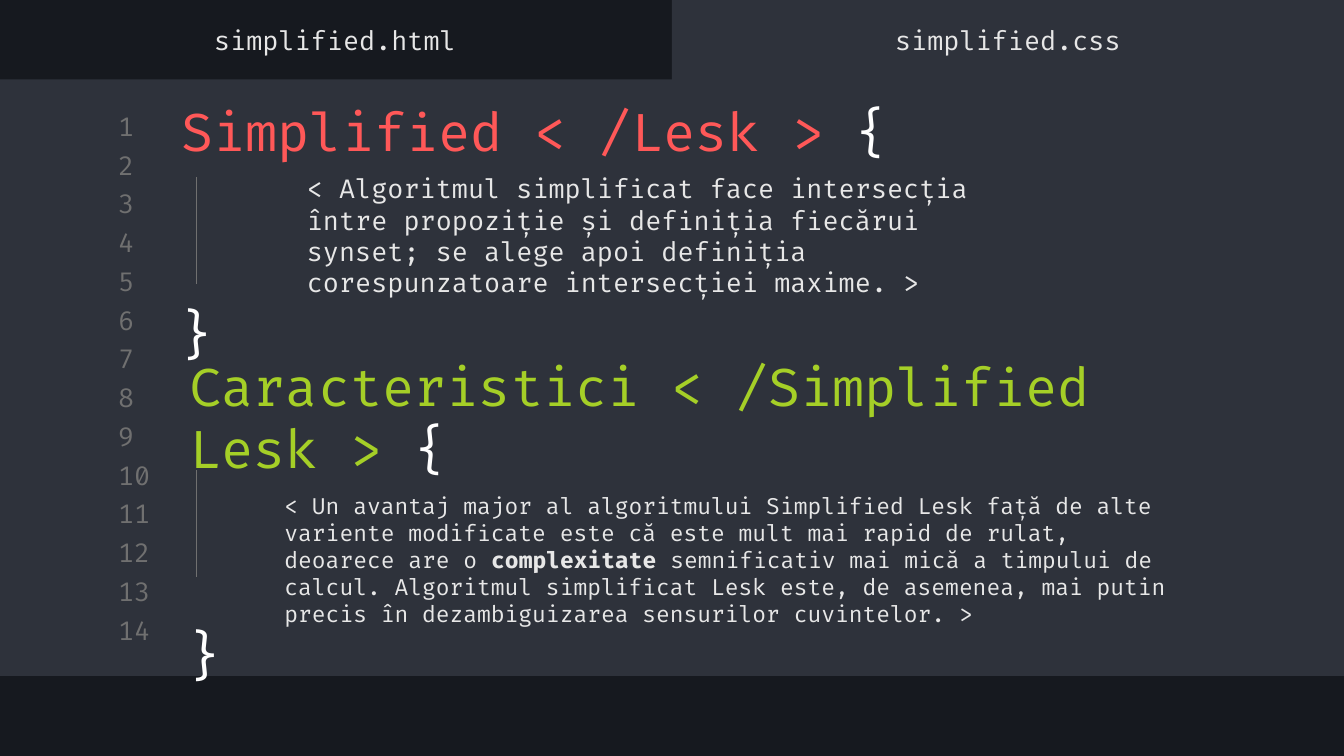
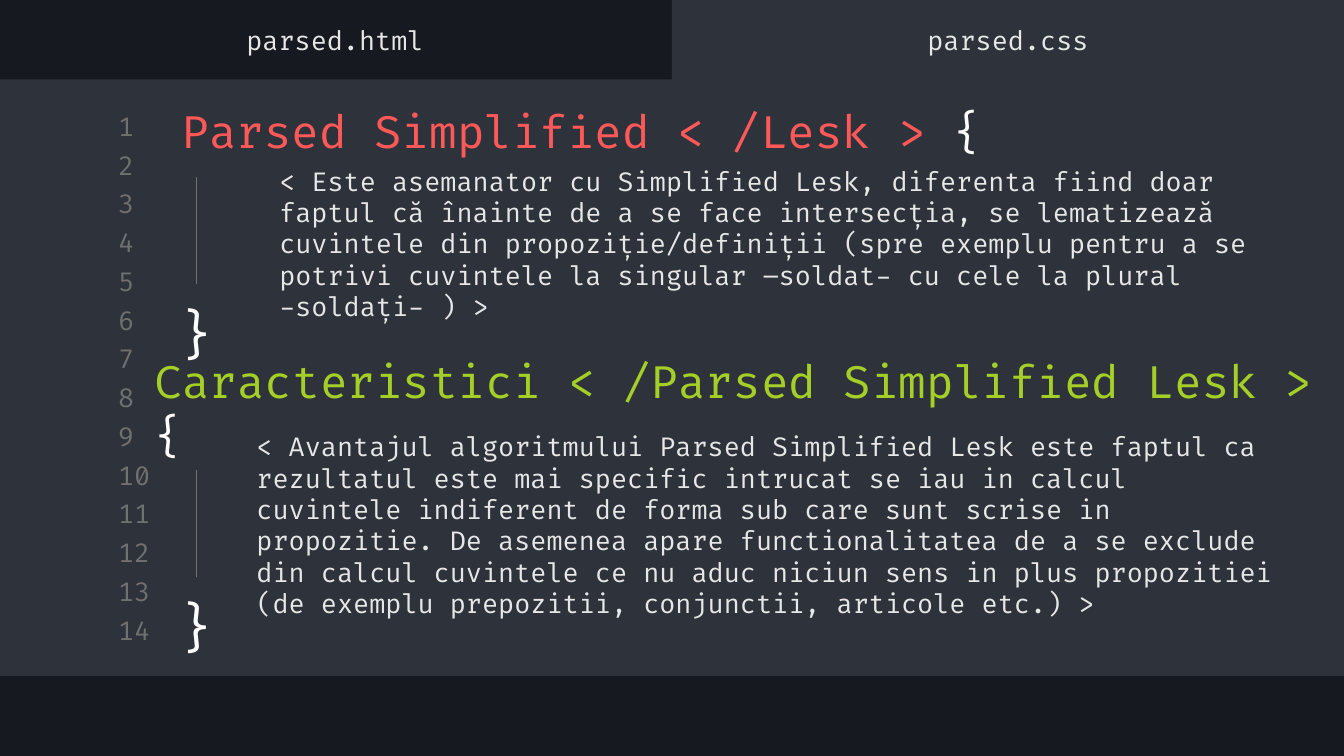
from dataclasses import dataclass

from lxml.etree import SubElement
from pptx import Presentation
from pptx.dml.color import RGBColor
from pptx.enum.shapes import MSO_CONNECTOR as Connector, MSO_SHAPE as Preset
from pptx.enum.text import MSO_ANCHOR as Anchor, MSO_AUTO_SIZE as AutoSize, PP_ALIGN as Align
from pptx.oxml.ns import qn
from pptx.presentation import Presentation as Deck
from pptx.shapes.base import BaseShape
from pptx.slide import Slide
from pptx.util import Pt

NIGHT = RGBColor(0x16, 0x19, 0x1F)
SLATE = RGBColor(0x2E, 0x32, 0x3B)
GRAY = RGBColor(0x70, 0x70, 0x70)
PALE = RGBColor(0xE7, 0xE7, 0xE7)
WHITE = RGBColor(0xFF, 0xFF, 0xFF)
RED = RGBColor(0xFF, 0x58, 0x58)
GREEN = RGBColor(0xA5, 0xCF, 0x27)

FONT = "Fira Code"
INSET = Pt(7.2)
COMPARISON_LAYOUT = 4
LINE_COUNT = 14
LINE_TOP, LINE_STEP = 58.8, 20.76
GUIDE_LEFT, GUIDE_HEIGHT = 105.2, 57.4


@dataclass(frozen=True)
class Frame:
    left: float
    top: float
    width: float
    height: float

    def lengths(self) -> tuple[Pt, Pt, Pt, Pt]:
        return Pt(self.left), Pt(self.top), Pt(self.width), Pt(self.height)


@dataclass(frozen=True)
class Span:
    text: str
    color: RGBColor = PALE
    bold: bool = False


Paragraphs = list[list[Span]]


@dataclass(frozen=True)
class Passage:
    frame: Frame
    paragraphs: Paragraphs
    size: float = 14


@dataclass(frozen=True)
class Brace:
    guide_top: float
    left: float
    top: float


@dataclass(frozen=True)
class CodePage:
    name: str
    title: Passage
    heading: Passage
    definition: Passage
    features: Passage
    braces: tuple[Brace, Brace]


BANDS = (Frame(0, 42.5, 720, 319.7), Frame(360, 0, 360, 46.8))
TABS = ((1, "html", Frame(-0.5, 7.2, 360, 28.1)), (3, "css", Frame(360, 7.2, 360, 28.1)))
TITLE_FRAME = Frame(90, 49, 460, 41.8)
FIRST_BRACE = Brace(95, 85.7, 154.1)

PAGES = (
    CodePage(
        name="simplified",
        title=Passage(TITLE_FRAME, [[Span("Simplified < /Lesk > ", RED), Span("{", WHITE)]], 28),
        heading=Passage(
            Frame(94.5, 202.3, 565.2, 41.8),
            [[Span("Caracteristici < /Simplified Lesk > ", GREEN), Span("{", WHITE)]],
            28,
        ),
        definition=Passage(
            Frame(157.2, 95.2, 404.6, 61.9),
            [[Span(
                "< Algoritmul simplificat face intersecția între propoziție și definiția "
                "fiecărui synset; se alege apoi definiția corespunzatoare intersecției maxime. >"
            )]],
        ),
        features=Passage(
            Frame(145.2, 268.9, 493.9, 61.9),
            [[
                Span(
                    "< Un avantaj major al algoritmului Simplified Lesk față de alte variente "
                    "modificate este că este mult mai rapid de rulat, deoarece are o "
                ),
                Span("complexitate ", bold=True),
                Span(
                    "semnificativ mai mică a timpului de calcul. Algoritmul simplificat Lesk "
                    "este, de asemenea, mai putin precis în dezambiguizarea sensurilor cuvintelor. >"
                ),
            ]],
            12,
        ),
        braces=(Brace(252, 90, 326.1), FIRST_BRACE),
    ),
    CodePage(
        name="parsed",
        title=Passage(
            TITLE_FRAME, [[Span("Parsed Simplified < /Lesk > ", RED), Span("{", WHITE)]], 24
        ),
        heading=Passage(
            Frame(75.8, 197.5, 639.4, 41.8),
            [[Span("Caracteristici < /Parsed Simplified Lesk >", GREEN)], [Span("{", WHITE)]],
            24,
        ),
        definition=Passage(
            Frame(142.4, 99.4, 541.4, 61.9),
            [[Span(
                "< Este asemanator cu Simplified Lesk, diferenta fiind doar faptul că înainte "
                "de a se face intersecția, se lematizează cuvintele din propoziție/definiții "
                "(spre exemplu pentru a se potrivi cuvintele la singular –soldat- cu cele la "
                "plural -soldați- ) >"
            )]],
        ),
        features=Passage(
            Frame(130.2, 250.1, 566.6, 61.9),
            [[Span(
                "< Avantajul algoritmului Parsed Simplified Lesk este faptul ca rezultatul este "
                "mai specific intrucat se iau in calcul cuvintele indiferent de forma sub care "
                "sunt scrise in propozitie. De asemenea apare functionalitatea de a se exclude "
                "din calcul cuvintele ce nu aduc niciun sens in plus propozitiei (de exemplu "
                "prepozitii, conjunctii, articole etc.) >"
            )]],
        ),
        braces=(Brace(252, 85.7, 311.3), FIRST_BRACE),
    ),
)


def write(
    box: BaseShape,
    paragraphs: Paragraphs,
    *,
    size: float = 14,
    align: Align = Align.LEFT,
    anchor: Anchor = Anchor.MIDDLE,
) -> None:
    frame = box.text_frame
    frame.word_wrap = True
    frame.auto_size = AutoSize.NONE
    frame.vertical_anchor = anchor
    frame.margin_left = frame.margin_right = INSET
    frame.margin_top = frame.margin_bottom = INSET
    for index, spans in enumerate(paragraphs):
        para = frame.add_paragraph() if index else frame.paragraphs[0]
        para.alignment = align
        para.line_spacing = 1.0
        para.space_before = para.space_after = Pt(0)
        properties = para._p.get_or_add_pPr()
        properties.set("marL", "0")
        properties.set("indent", "0")
        SubElement(properties, qn("a:buNone"))
        for span in spans:
            run = para.add_run()
            run.text = span.text
            run.font.name = FONT
            run.font.size = Pt(size)
            run.font.bold = span.bold
            run.font.color.rgb = span.color


def place(box: BaseShape, frame: Frame) -> None:
    box.left, box.top, box.width, box.height = frame.lengths()
    box.element.getparent().append(box.element)


def fill_passage(box: BaseShape, passage: Passage) -> None:
    place(box, passage.frame)
    write(box, passage.paragraphs, size=passage.size)


def draw_editor(page: Slide) -> None:
    for band in BANDS:
        box = page.shapes.add_shape(Preset.RECTANGLE, *band.lengths())
        box.shadow.inherit = False
        box.fill.solid()
        box.fill.fore_color.rgb = SLATE
        box.line.fill.background()
    for index in range(LINE_COUNT):
        frame = Frame(56.2, LINE_TOP + index * LINE_STEP, 33.8, 17.3)
        number = page.shapes.add_textbox(*frame.lengths())
        write(number, [[Span(str(index + 1), GRAY)]])


def draw_brace(page: Slide, brace: Brace) -> None:
    group = page.shapes.add_group_shape()
    guide = group.shapes.add_connector(
        Connector.STRAIGHT,
        Pt(GUIDE_LEFT),
        Pt(brace.guide_top),
        Pt(GUIDE_LEFT),
        Pt(brace.guide_top + GUIDE_HEIGHT),
    )
    guide.line.color.rgb = GRAY
    guide.line.width = Pt(0.75)
    SubElement(guide.element.spPr, qn("a:effectLst"))
    box = group.shapes.add_textbox(*Frame(brace.left, brace.top, 39.6, 48.2).lengths())
    write(box, [[Span("}", WHITE)]], size=28, align=Align.CENTER, anchor=Anchor.TOP)


def build_page(deck: Deck, content: CodePage) -> None:
    page = deck.slides.add_slide(deck.slide_layouts[COMPARISON_LAYOUT])
    holders = {holder.placeholder_format.idx: holder for holder in page.placeholders}
    draw_editor(page)
    fill_passage(holders[2], content.definition)
    fill_passage(holders[4], content.features)
    fill_passage(page.shapes.add_textbox(*content.heading.frame.lengths()), content.heading)
    fill_passage(page.shapes.title, content.title)
    for idx, extension, frame in TABS:
        place(holders[idx], frame)
        write(holders[idx], [[Span(f"{content.name}.{extension}")]], align=Align.CENTER)
    for brace in content.braces:
        draw_brace(page, brace)


def main() -> None:
    deck = Presentation()
    deck.slide_width, deck.slide_height = Pt(720), Pt(405)
    background = deck.slide_master.background.fill
    background.solid()
    background.fore_color.rgb = NIGHT
    for content in PAGES:
        build_page(deck, content)
    deck.save("out.pptx")


if __name__ == "__main__":
    main()
